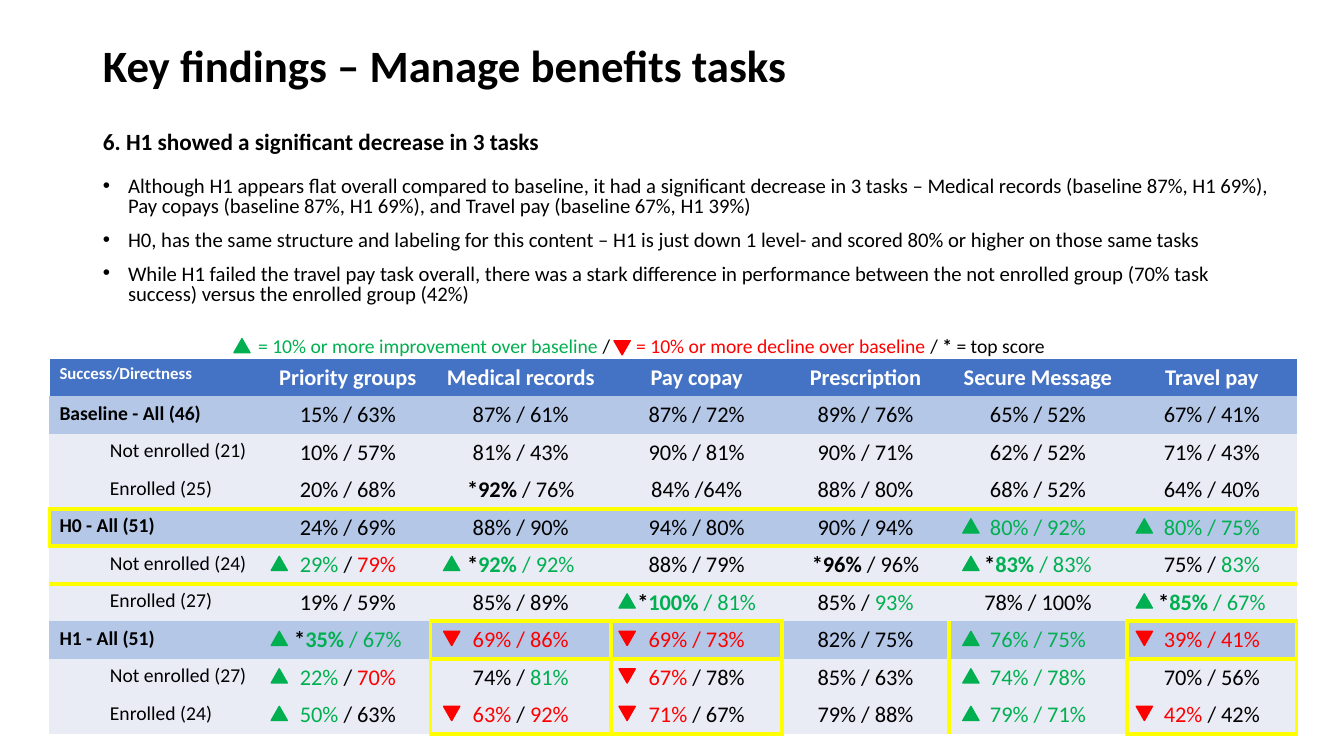
from collections import defaultdict
from lxml.etree import SubElement
from pptx import Presentation
from pptx.dml.color import RGBColor
from pptx.enum.shapes import MSO_SHAPE as Shape
from pptx.enum.text import MSO_ANCHOR as Anchor, MSO_AUTO_SIZE as AutoSize, PP_ALIGN as Align
from pptx.oxml.ns import qn
from pptx.util import Inches, Pt

COLORS = {
    "black": "000000", "white": "FFFFFF", "green": "00B050", "red": "FF0000",
    "yellow": "FFFF00", "header": "4472C4", "summary": "B4C7E7", "detail": "E9EBF5",
}
MARKUP = {"g": ("green", False), "r": ("red", False), "G": ("green", True), "K": ("black", True)}

TITLE = "Key findings – Manage benefits tasks"
FINDING = "6. H1 showed a significant decrease in 3 tasks"
POINTS = [
    "Although H1 appears flat overall compared to baseline, it had a significant decrease in 3 tasks – "
    "Medical records (baseline 87%, H1 69%), Pay copays (baseline 87%, H1 69%), "
    "and Travel pay (baseline 67%, H1 39%)",
    "H0, has the same structure and labeling for this content – H1 is just down 1 level- "
    "and scored 80% or higher on those same tasks",
    "While H1 failed the travel pay task overall, there was a stark difference in performance between "
    "the not enrolled group (70% task success) versus the enrolled group (42%)",
]
LEGEND = ("g= 10% or more improvement over baseline| /\t"
          "|r= 10% or more decline over baseline |/ |K*| = top score")

RESULTS = [
    ["Success/Directness", "Priority groups", "Medical records", "Pay copay",
     "Prescription", "Secure Message", "Travel pay"],
    ["Baseline - All (46)", "15% / 63%", "87% / 61%", "87% / 72%",
     "89% / 76%", "65% / 52%", "67% / 41%"],
    ["Not enrolled (21)", "10% / 57%", "81% / 43%", "90% / 81%",
     "90% / 71%", "62% / 52%", "71% / 43%"],
    ["Enrolled (25)", "20% / 68%", "K*92%| / 76%", "84% /64%",
     "88% / 80%", "68% / 52%", "64% / 40%"],
    ["H0 - All (51)", "24% / 69%", "88% / 90%", "94% / 80%",
     "90% / 94%", "g80% / 92%", "g80% / 75%"],
    ["Not enrolled (24)", "g29%| / |r79%", "K*|G92%|g / 92%", "88% / 79%",
     "K*96%| / 96%", "K*|G83%|g / 83%", "75% / |g83%"],
    ["Enrolled (27)", "19% / 59%", "85% / 89%", "K*|G100%|g / 81%",
     "85% / |g93%", "78% / 100%", "K*|G85%|g / 67%"],
    ["H1 - All (51)", "K*|G35%|g / 67%", "r69% / 86%", "r69% / 73%",
     "82% / 75%", "g76% / 75%", "r39% / 41%"],
    ["Not enrolled (27)", "g22%| / |r70%", "74% / |g81%", "r67%| / 78%",
     "85% / 63%", "g74% / 78%", "70% / 56%"],
    ["Enrolled (24)", "g50%| / 63%", "r63%| / |r92%", "r71%| / 67%",
     "79% / 88%", "g79% / 71%", "r42% |/ 42%"],
]
COLUMN_WIDTHS = [2.14, 1.64, 1.79, 1.7, 1.65, 1.77, 1.68]
TABLE_LEFT, TABLE_TOP, ROW_HEIGHT = 0.49, 3.56, 0.372
SUMMARY_ROWS = (1, 4, 7)
HIGHLIGHTS = [(4, 4, 0, 6), (7, 9, 2, 2), (7, 9, 3, 3), (7, 9, 6, 6)]
MARKER_LEFTS = {1: 2.69, 2: 4.4, 3: 6.14, 5: 9.55, 6: 11.27}
IMPROVED = {4: (5, 6), 5: (1, 2, 5), 6: (3, 6), 7: (1, 5), 8: (1, 5), 9: (1, 5)}
DECLINED = {7: (2, 3, 6), 8: (3,), 9: (2, 3, 6)}
NO_GRID_STYLE = "{2D5ABB26-0587-4C30-8999-92F81FD0307C}"


def color(name):
    return RGBColor.from_string(COLORS[name])


def format_span(span, size, tint="black", bold=False):
    span.font.name = "Calibri"
    span.font.size = Pt(size)
    span.font.bold = bold
    span.font.color.rgb = color(tint)


def write_markup(para, markup, size, tint="black", bold=False):
    for part in markup.split("|"):
        style = MARKUP.get(part[0])
        span = para.add_run()
        span.text = part[1:] if style else part
        format_span(span, size, *(style or (tint, bold)))


def place(box, left, top, width, height):
    box.left, box.top = Inches(left), Inches(top)
    box.width, box.height = Inches(width), Inches(height)


def set_indent(para, left, first):
    properties = para._p.get_or_add_pPr()
    properties.set("marL", str(Inches(left)))
    properties.set("indent", str(Inches(first)))
    return properties


def write_title(page):
    box = page.shapes.title
    place(box, 0.92, 0.2, 11.5, 0.94)
    frame = box.text_frame
    frame.text = TITLE
    frame.vertical_anchor = Anchor.MIDDLE
    frame.auto_size = AutoSize.NONE
    para = frame.paragraphs[0]
    para.alignment = Align.LEFT
    para.line_spacing = 0.9
    format_span(para.runs[0], 32, bold=True)


def write_body(page):
    box = page.placeholders[1]
    place(box, 0.92, 1.27, 11.77, 1.95)
    frame = box.text_frame
    frame.text = "\n".join([FINDING] + POINTS)
    frame.vertical_anchor = Anchor.TOP
    frame.auto_size = AutoSize.NONE
    for index, para in enumerate(frame.paragraphs):
        if index:
            SubElement(set_indent(para, 0.25, -0.25), qn("a:buChar"), char="•")
        else:
            SubElement(set_indent(para, 0, 0), qn("a:buNone"))
        para.line_spacing = 0.8
        para.space_before = Pt(10 if index else 0)
        para.space_after = Pt(0 if index else 6)
        format_span(para.runs[0], 14.8 if index else 16.6, bold=not index)


def write_legend(page):
    box = page.shapes.add_textbox(Inches(1.5), Inches(3.29), Inches(9.93), Inches(0.34))
    frame = box.text_frame
    frame.word_wrap = True
    frame.margin_left = Inches(1.06)
    para = frame.paragraphs[0]
    tabs = SubElement(para._p.get_or_add_pPr(), qn("a:tabLst"))
    SubElement(tabs, qn("a:tab"), pos=str(Inches(3.75)), algn="l")
    para.line_spacing = 0.9
    write_markup(para, LEGEND, 14)


def add_marker(page, left, top, declined=False):
    marker = page.shapes.add_shape(
        Shape.ISOSCELES_TRIANGLE, Inches(left), Inches(top), Inches(0.16), Inches(0.14))
    tint = color("red" if declined else "green")
    marker.shadow.inherit = False
    marker.rotation = 180 if declined else 0
    marker.fill.solid()
    marker.fill.fore_color.rgb = tint
    marker.line.color.rgb = tint
    marker.line.width = Pt(1)


def collect_borders():
    borders = defaultdict(dict)
    borders[0, 0] = {"L": ("white", 1), "T": ("white", 1)}
    edge = ("yellow", 3)
    for top, bottom, left, right in HIGHLIGHTS:
        for column in range(left, right + 1):
            borders[top, column]["T"] = borders[top - 1, column]["B"] = edge
            borders[bottom, column]["B"] = borders[bottom + 1, column]["T"] = edge
        for row in range(top, bottom + 1):
            borders[row, left]["L"] = borders[row, left - 1]["R"] = edge
            borders[row, right]["R"] = borders[row, right + 1]["L"] = edge
    return borders


def style_cell(cell, fill, borders):
    properties = cell._tc.get_or_add_tcPr()
    for side in "LRTB":
        if side in borders:
            tint, width = borders[side]
            line = SubElement(properties, qn(f"a:ln{side}"), w=str(Pt(width)))
            SubElement(SubElement(line, qn("a:solidFill")), qn("a:srgbClr"), val=COLORS[tint])
    cell.fill.solid()
    cell.fill.fore_color.rgb = color(fill)


def write_cell(cell, row, column, markup):
    para = cell.text_frame.paragraphs[0]
    is_header, is_summary = row == 0, row in SUMMARY_ROWS
    if column:
        para.alignment = Align.CENTER
        size, bold = 16, is_header
    else:
        size, bold = 12 if is_header else 14, is_header or is_summary
        if not bold:
            para.level = 1
            set_indent(para, 0.5, 0)
    write_markup(para, markup, size, "white" if is_header else "black", bold)


def add_results(page):
    frame = page.shapes.add_table(
        len(RESULTS), len(COLUMN_WIDTHS), Inches(TABLE_LEFT), Inches(TABLE_TOP),
        Inches(sum(COLUMN_WIDTHS)), Inches(ROW_HEIGHT * len(RESULTS)))
    table = frame.table
    table.first_row = table.horz_banding = False
    table._tbl.tblPr.find(qn("a:tableStyleId")).text = NO_GRID_STYLE
    for column, width in zip(table.columns, COLUMN_WIDTHS):
        column.width = Inches(width)
    borders = collect_borders()
    for row, values in enumerate(RESULTS):
        table.rows[row].height = Inches(ROW_HEIGHT)
        fill = "header" if row == 0 else "summary" if row in SUMMARY_ROWS else "detail"
        for column, markup in enumerate(values):
            cell = table.cell(row, column)
            style_cell(cell, fill, borders[row, column])
            write_cell(cell, row, column, markup)


def add_result_markers(page):
    for declined, marked in ((False, IMPROVED), (True, DECLINED)):
        for row, columns in marked.items():
            for column in columns:
                add_marker(page, MARKER_LEFTS[column], TABLE_TOP + 0.1 + row * ROW_HEIGHT, declined)


def main():
    deck = Presentation()
    deck.slide_width, deck.slide_height = Inches(13.33), Inches(7.5)
    page = deck.slides.add_slide(deck.slide_layouts[1])
    add_results(page)
    add_result_markers(page)
    write_legend(page)
    add_marker(page, 2.32, 3.36)
    add_marker(page, 6.09, 3.38, declined=True)
    write_title(page)
    write_body(page)
    deck.save("out.pptx")


if __name__ == "__main__":
    main()
